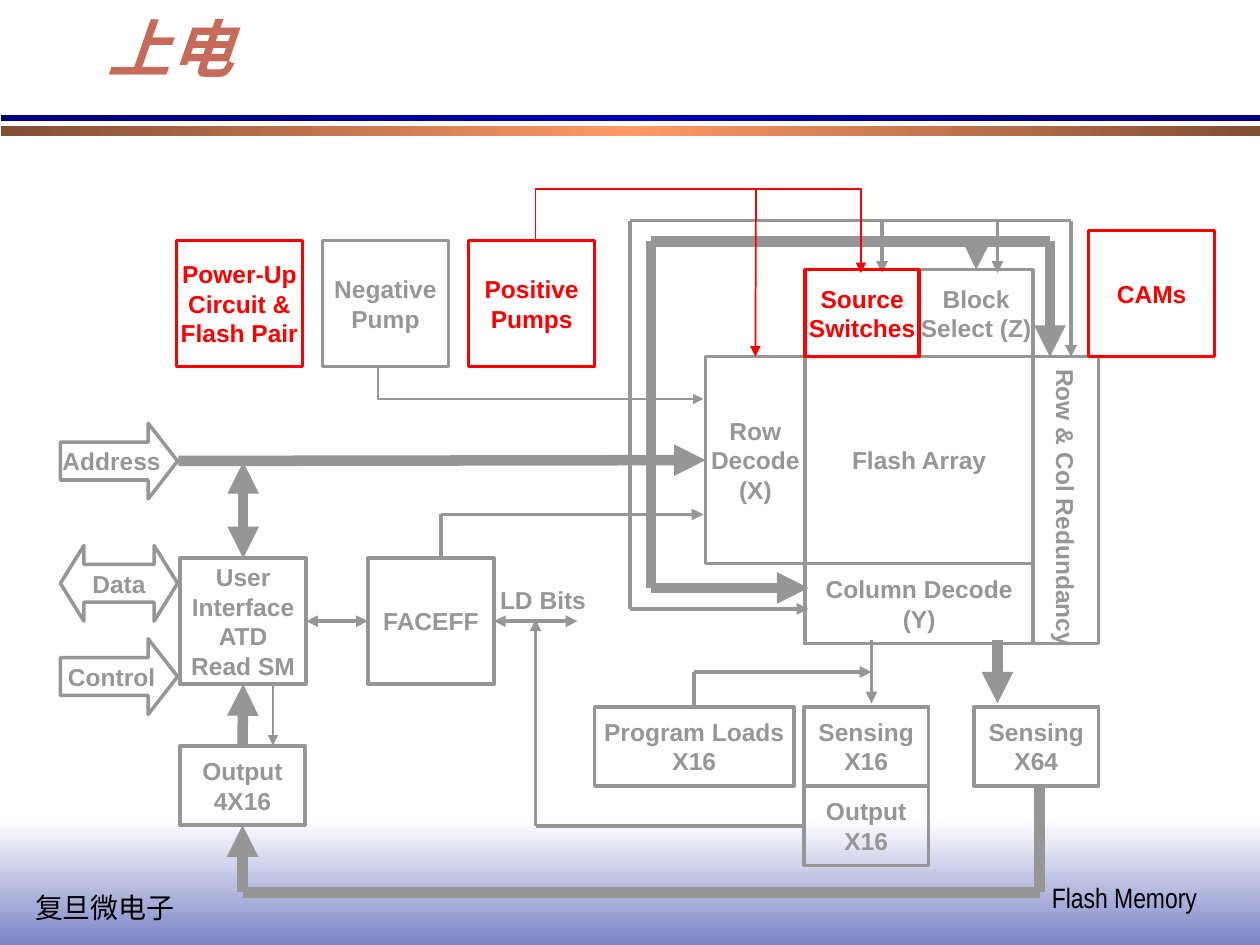
from itertools import pairwise

from lxml.etree import SubElement
from pptx import Presentation
from pptx.dml.color import RGBColor
from pptx.enum.shapes import MSO_CONNECTOR, MSO_SHAPE
from pptx.enum.text import MSO_ANCHOR, PP_ALIGN
from pptx.oxml.ns import qn
from pptx.util import Inches, Pt

GREY, RED = "969696", "FF0000"
TOP, LEFT, BOTTOM, RIGHT = range(4)
BUS, WIRE, HAIR = 6, 2.25, 1  # line weights in points

prs = Presentation()
prs.slide_width, prs.slide_height = Inches(10), Inches(7.5)
slide = prs.slides.add_slide(prs.slide_layouts[5])
shapes = slide.shapes


def grid(*cells):
    """Slide grid of 120 columns by 90 rows, twelve to the inch."""
    return [Inches(cell / 12) for cell in cells]


def color(hex_text):
    return RGBColor.from_string(hex_text)


def write(frame, text, size=14, font="Arial", ink=GREY, bold=True, italic=False,
          align=PP_ALIGN.CENTER, anchor=MSO_ANCHOR.MIDDLE, wrap=False,
          spacing=None, insets=(0.1, 0.05)):
    frame.word_wrap, frame.vertical_anchor = wrap, anchor
    frame.margin_left = frame.margin_right = Inches(insets[0])
    frame.margin_top = frame.margin_bottom = Inches(insets[1])
    frame.text = text
    for paragraph in frame.paragraphs:
        paragraph.alignment, paragraph.line_spacing = align, spacing
        for run in paragraph.runs:
            run.font.size, run.font.name = Pt(size), font
            run.font.bold, run.font.italic = bold, italic
            run.font.color.rgb = color(ink)


def label(box, text, **style):
    write(shapes.add_textbox(*grid(*box)).text_frame, text,
          align=PP_ALIGN.LEFT, anchor=MSO_ANCHOR.TOP, **style)


def block(box, text, ink=GREY, kind=MSO_SHAPE.FLOWCHART_PROCESS, adjust=(), **style):
    """Outlined block with centred text."""
    shape = shapes.add_shape(kind, *grid(*box))
    shape.shadow.inherit = False
    shape.fill.background()
    shape.line.color.rgb, shape.line.width = color(ink), Pt(2)
    for index, value in enumerate(adjust):
        shape.adjustments[index] = value
    write(shape.text_frame, text, ink=ink, **style)
    return shape


def gradient_bar(box, stops, angle):
    bar = shapes.add_shape(MSO_SHAPE.RECTANGLE, *grid(*box))
    bar.shadow.inherit = False
    bar.line.fill.background()
    bar.fill.gradient()
    fill = bar._element.spPr.find(qn("a:gradFill"))
    stop_list = fill.find(qn("a:gsLst"))
    for old in list(stop_list):
        stop_list.remove(old)
    for index, ink in enumerate(stops):
        position = 100000 * index // (len(stops) - 1)
        stop = SubElement(stop_list, qn("a:gs"), pos=str(position))
        SubElement(stop, qn("a:srgbClr"), val=ink)
    fill.find(qn("a:lin")).set("ang", str(angle * 60000))


def stroke(shape, weight, ink, head=False, tail=False):
    shape.line.color.rgb, shape.line.width = color(ink), Pt(weight)
    ln = shape._element.spPr.get_or_add_ln()
    for tag, shown in (("a:headEnd", head), ("a:tailEnd", tail)):
        if shown:
            SubElement(ln, qn(tag), type="triangle")


def wire(points, weight=WIRE, ink=GREY, head=False, tail=True, start=None, end=None):
    """Straight connectors through the grid points; start and end are (block, side)."""
    segments = list(pairwise(points))
    for index, (begin, finish) in enumerate(segments):
        first, last = index == 0, index == len(segments) - 1
        line = shapes.add_connector(MSO_CONNECTOR.STRAIGHT, *grid(*begin, *finish))
        if first and start:
            line.begin_connect(*start)
        if last and end:
            line.end_connect(*end)
        stroke(line, weight, ink, head and first, tail and last)
        SubElement(line._element.spPr, qn("a:effectLst"))


def elbow(points, ink):
    """One bent hairline ending in an arrowhead."""
    places = [tuple(grid(*point)) for point in points]
    builder = shapes.build_freeform(*places[0], scale=1.0)
    builder.add_line_segments(places[1:], close=False)
    path = builder.convert_to_shape()
    path.shadow.inherit = False
    path.fill.background()
    stroke(path, HAIR, ink, tail=True)


def header(box):
    left, top, width, height = box
    title = shapes.title
    title.left, title.top, title.width, title.height = grid(9, top, 102, 10)
    write(title.text_frame, "上电", size=36, font="Arial Narrow", ink="C66B5A",
          italic=True, align=PP_ALIGN.LEFT, wrap=True, spacing=0.88)
    gradient_bar((left, top + height - 1, width, 1), ("824E34", "FF9966", "824E34"), 180)
    gradient_bar((left, top + height - 2, width, 0.5), ("00007E", "0000B6", "00007E"), 180)


def footer(box):
    left, top, width, height = box
    gradient_bar(box, ("FFFFFF", "7B84C6"), 90)
    style = dict(size=16, font="Arial Narrow", ink="000000", bold=False)
    label((left + 2.16, top + 6.24, 15.72, 4.44), "复旦微电子", **style)
    label((left + 99, top + 5.28, 16.2, 4.44), "Flash Memory", **style)


def buses():
    # Outer control loop around the array, then the thick address loop
    wire([(60, 58), (60, 21), (102, 21), (102, 34)])
    wire([(60, 58), (77, 58)])
    for column in (84, 95):
        wire([(column, 21), (column, 26)])
    wire([(42, 53), (42, 49), (67, 49)])
    wire([(62, 56), (77, 56)], BUS)
    wire([(62, 56), (62, 23), (100, 23), (100, 34)], BUS)


def ports(box):
    left, top, width, height = box
    right, both = MSO_SHAPE.RIGHT_ARROW, MSO_SHAPE.LEFT_RIGHT_ARROW
    for text, offset, kind, point in (("Address", 0, right, 0.389),
                                      ("Data", 11.64, both, 0.31),
                                      ("Control", 20.52, right, 0.389)):
        block((left, top + offset, width, height), text, kind=kind, adjust=(0.5, point))


def pumps(box):
    left, top, width, size = box
    pitch = (width - size) / 2
    names = (("Power-Up\nCircuit &\nFlash Pair", RED), ("Negative\nPump", GREY),
             ("Positive\nPumps", RED))
    for index, (text, ink) in enumerate(names):
        block((left + index * pitch, top, size, size), text, ink)


def array(box):
    left, top, width, height = box
    row_width, core_width, spare_width = 9.48, 21.72, 6.24
    select_height, column_height = 8.28, 7.6
    core_height = height - select_height - column_height
    core_left, core_top = left + row_width, top + select_height
    half = core_width / 2
    block((core_left, core_top, core_width, core_height), "Flash Array")
    block((core_left + core_width, core_top, spare_width, core_height + column_height),
          "Row & Col Redundancy", insets=(0.05, 0.1)
          ).text_frame._txBody.bodyPr.set("vert", "eaVert")
    block((core_left, core_top + core_height, core_width, column_height),
          "Column Decode\n(Y)")
    row = block((left, core_top, row_width, core_height), "Row\nDecode\n(X)")
    select = block((core_left + half, top, half, select_height), "Block\nSelect (Z)")
    block((core_left, top, half, select_height), "Source\nSwitches", RED)
    block((103.68, 21.96, 12, 12), "CAMs", RED)
    return row, select


def interface(box):
    left, top, width, size = box
    user = block((left, top, size, size), "User\nInterface\nATD\nRead SM")
    faceff = block((left + width - size, top, size, size), "FACEFF")
    output = block((left, top + 17.88, 11.88, 7.56), "Output\n4X16")
    label((46.44, 55.08, 10.56, 4.08), "LD Bits")
    return user, faceff, output


def sensing(box):
    left, top, width, height = box
    row, column = height / 2, 11.88
    middle = left + 19.92
    loads = block((left, top, 18.96, row), "Program Loads\nX16")
    block((middle, top, column, row), "Sensing\nX16")
    output = block((middle, top + row, column, row), "Output\nX16")
    block((left + width - column, top, column, row), "Sensing\nX64")
    return loads, output


def wiring(row, select, user, faceff, output, loads, output16):
    # Address bus and block select
    wire([(17, 43.9), (67.2, 43.9)], BUS, end=(row, LEFT))
    wire([(93, 23), (93, 25.68)], BUS, end=(select, TOP))
    # Column decode to the sense amplifiers
    wire([(83, 61), (83, 67)])
    wire([(95, 61), (95, 67)], BUS)
    wire([(66.12, 67.32), (66.12, 64), (83, 64)], start=(loads, TOP))
    # LD bits and the return from the X16 output
    wire([(47, 59.16), (55, 59.16)], head=True, start=(faceff, RIGHT))
    wire([(76.56, 78.66), (51, 78.66), (51, 59)], start=(output16, LEFT))
    # X64 result to the 4X16 output, and on to the user interface
    wire([(99, 75), (99, 85), (23.1, 85), (23.1, 78.6)], BUS, end=(output, BOTTOM))
    wire([(23.1, 71), (23.1, 65)], BUS, start=(output, TOP), end=(user, BOTTOM))
    wire([(26, 65), (26, 71)], HAIR)
    wire([(29, 59), (35, 59)], head=True, start=(user, RIGHT), end=(faceff, LEFT))
    wire([(23.16, 44), (23.16, 53)], BUS, head=True, end=(user, TOP))
    # Pump outputs
    elbow([(36, 35), (36, 38), (67, 38)], GREY)
    elbow([(51, 23), (51, 18), (82, 18), (82, 26)], RED)
    wire([(72, 18), (72, 34)], HAIR, RED, end=(row, TOP))


footer((0, 78, 120, 12))
header((0.12, 0, 119.88, 13))
buses()
ports((5.76, 40.32, 11.16, 7.2))
pumps((16.8, 22.92, 39.84, 12))
array_blocks = array((67.2, 25.68, 37.44, 35.6))
interface_blocks = interface((17.16, 53.16, 29.88, 12))
sensing_blocks = sensing((56.64, 67.32, 48, 15.12))
wiring(*array_blocks, *interface_blocks, *sensing_blocks)

prs.save("out.pptx")
